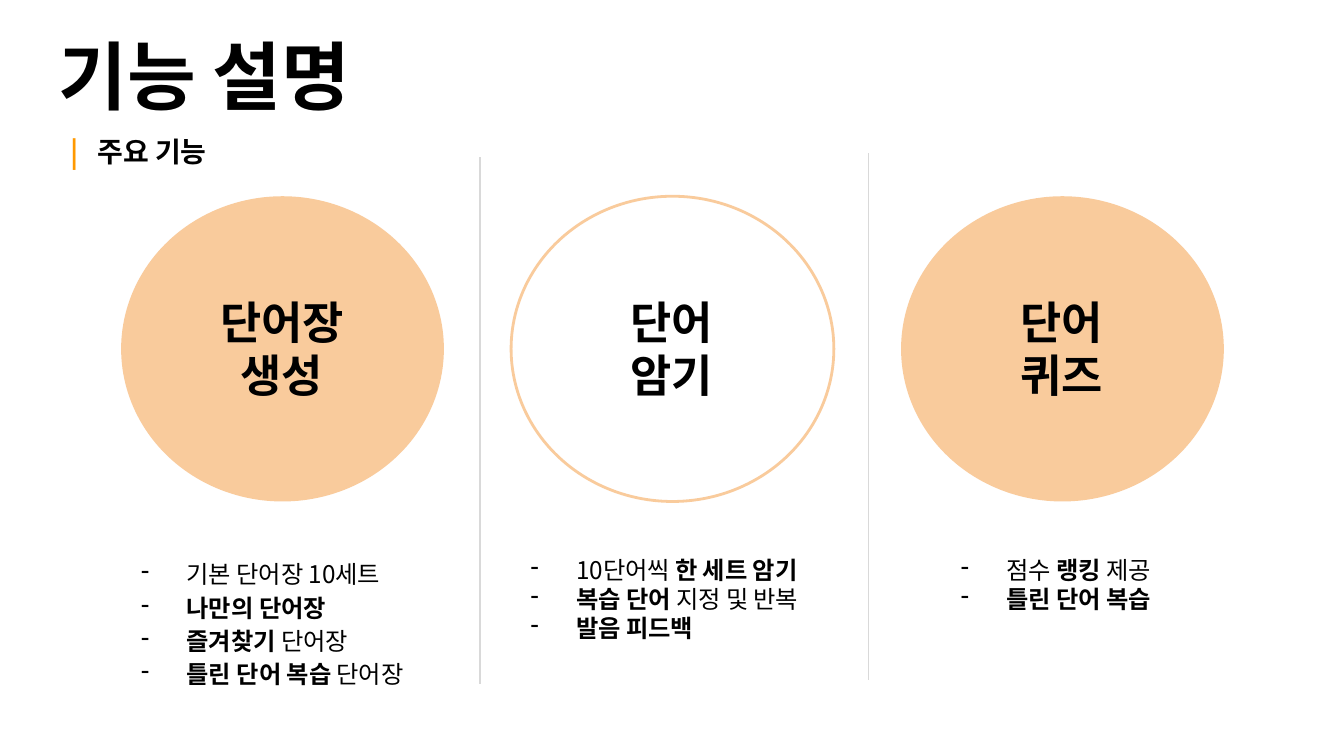
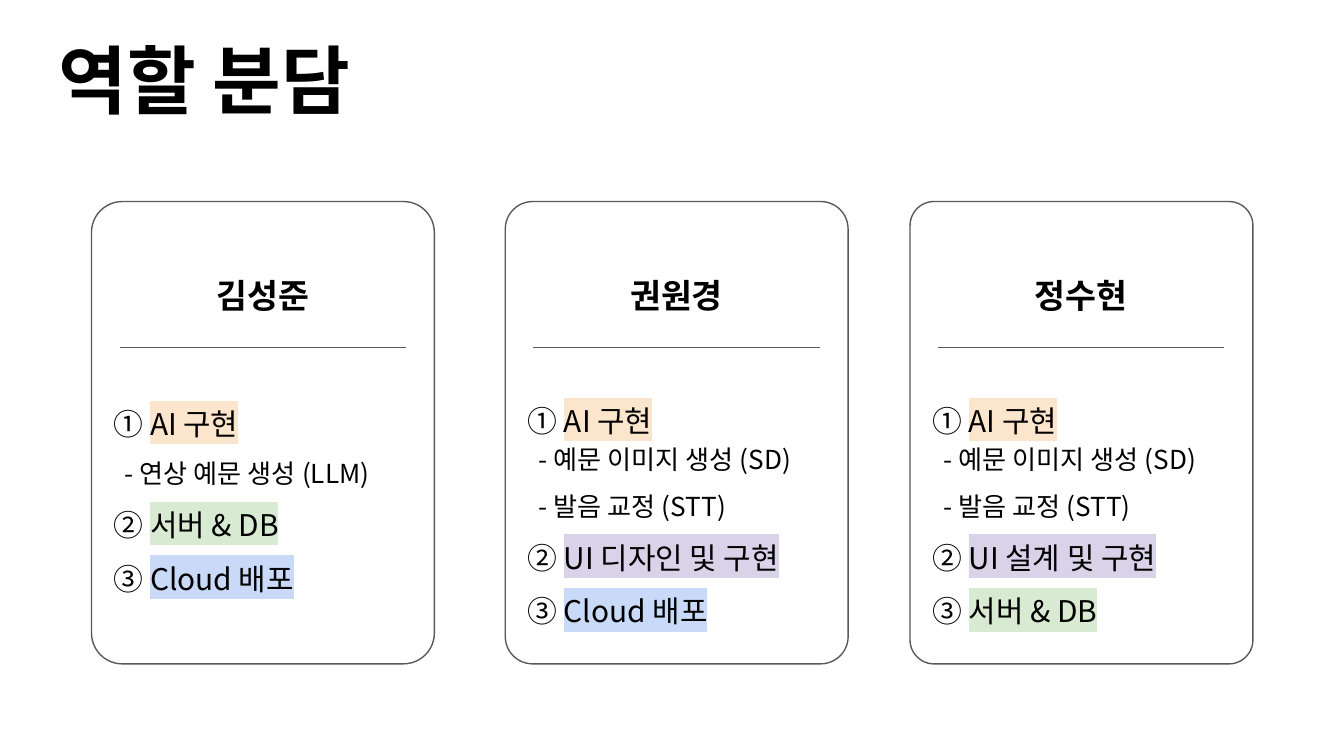
from lxml.etree import SubElement
from pptx import Presentation
from pptx.dml.color import RGBColor
from pptx.enum.shapes import MSO_CONNECTOR as Connector, MSO_SHAPE as Preset
from pptx.enum.text import MSO_ANCHOR as Anchor, MSO_AUTO_SIZE as AutoSize, PP_ALIGN as Align
from pptx.oxml.ns import qn
from pptx.util import Cm, Pt

FONT = "Noto Sans CJK KR"
COLORS = {
    "text": "000000", "accent": "FF9900", "circle": "F9CB9C",
    "divider": "D9D9D9", "outline": "595959",
    "ai": "FCE5CD", "server": "D9EAD3", "deploy": "C9DAF8", "ui": "D9D2E9",
}
RGB = {name: RGBColor.from_string(value) for name, value in COLORS.items()}


def write_text(frame, lines, size, bold=None, align=Align.LEFT, anchor=Anchor.MIDDLE,
               spacing=1.0, bullet=None):
    """Each line is a list of (text, mark); a mark is None, "bold" or a highlight colour."""
    frame.word_wrap = True
    frame.auto_size = AutoSize.NONE
    frame.vertical_anchor = anchor
    frame.margin_left = frame.margin_right = frame.margin_top = frame.margin_bottom = Cm(0.25)
    for index, line in enumerate(lines):
        paragraph = frame.paragraphs[0] if index == 0 else frame.add_paragraph()
        properties = paragraph._p.get_or_add_pPr()
        if bullet:
            properties.set("marL", str(Cm(1.27)))
            properties.set("indent", str(Cm(-0.86)))
            bullet_color = SubElement(properties, qn("a:buClr"))
            SubElement(bullet_color, qn("a:srgbClr")).set("val", COLORS["text"])
            SubElement(properties, qn("a:buChar")).set("char", bullet)
        paragraph.alignment = align
        paragraph.line_spacing = spacing
        paragraph.font.size = Pt(size)
        paragraph.font.bold = bold
        paragraph.font.color.rgb = RGB["text"]
        paragraph.font.name = FONT
        east_asian = SubElement(properties.find(qn("a:defRPr")), qn("a:ea"))
        east_asian.set("typeface", FONT)
        for text, mark in line:
            run = paragraph.add_run()
            run.text = text
            if mark == "bold":
                run.font.bold = True
            elif mark:
                highlight = SubElement(run._r.get_or_add_rPr(), qn("a:highlight"))
                SubElement(highlight, qn("a:srgbClr")).set("val", COLORS[mark])


def add_line(slide, x1, y1, x2, y2, color):
    line = slide.shapes.add_connector(Connector.STRAIGHT, Cm(x1), Cm(y1), Cm(x2), Cm(y2))
    line.line.color.rgb = RGB[color]
    line.line.width = Pt(0.75)
    SubElement(line._element.spPr, qn("a:effectLst"))


presentation = Presentation()
presentation.slide_width = Cm(25.4)
presentation.slide_height = Cm(14.29)

# Slides with their titles
slides = []
for title_text, title_top in (("기능 설명", 0.61), ("역할 분담", 0.69)):
    slide = presentation.slides.add_slide(presentation.slide_layouts[5])
    title = slide.shapes.title
    title.left, title.top, title.width, title.height = Cm(0.86), Cm(title_top), Cm(23.67), Cm(1.6)
    write_text(title.text_frame, [[(title_text, None)]], 40, bold=True)
    slides.append(slide)
feature_slide, role_slide = slides

# Features: subtitle
subtitle = feature_slide.shapes.add_textbox(Cm(1.09), Cm(2.46), Cm(4.19), Cm(0.79))
write_text(subtitle.text_frame, [[("|", None), ("\t주요 기능", None)]], 15, bold=True)
paragraph = subtitle.text_frame.paragraphs[0]
paragraph.runs[0].font.color.rgb = RGB["accent"]
paragraph._p.pPr.set("marL", str(Cm(0.5)))
paragraph._p.pPr.set("indent", str(Cm(-0.5)))

# Features: circle, label and list in each column
# label lines, filled, list left, width, height, line spacing, list lines
features = [
    (["단어장", "생성"], True, 2.01, 6.63, 2.9, 1.15, [
        [("기본 단어장 10세트", None)],
        [("나만의 단어장", "bold")],
        [("즐겨찾기", "bold"), (" 단어장", None)],
        [("틀린 단어 복습", "bold"), (" 단어장", None)]]),
    (["단어 암기"], False, 9.37, 6.63, 2.49, 1.0, [
        [("10단어씩 ", None), ("한 세트 암기", "bold")],
        [("복습 단어", "bold"), (" 지정 및 반복", None)],
        [("발음 피드백", "bold")]]),
    (["단어 퀴즈"], True, 17.5, 5.16, 1.8, 1.0, [
        [("점수 ", None), ("랭킹", "bold"), (" 제공", None)],
        [("틀린 단어 복습", "bold")]]),
]
for column, (label, filled, left, width, height, spacing, lines) in enumerate(features):
    circle_left = 2.29 + 7.37 * column
    circle = feature_slide.shapes.add_shape(
        Preset.OVAL, Cm(circle_left), Cm(3.71), Cm(6.1), Cm(5.77))
    circle.shadow.inherit = False
    if filled:
        circle.fill.solid()
        circle.fill.fore_color.rgb = RGB["circle"]
        circle.line.fill.background()
    else:
        circle.fill.background()
        circle.line.color.rgb = RGB["circle"]
        circle.line.width = Pt(1.5)
    label_box = feature_slide.shapes.add_textbox(
        Cm(circle_left + 1.3), Cm(5.41), Cm(3.48), Cm(2.34))
    write_text(label_box.text_frame, [[(text, None)] for text in label], 24,
               bold=True, align=Align.CENTER)
    list_box = feature_slide.shapes.add_textbox(Cm(left), Cm(10.24), Cm(width), Cm(height))
    write_text(list_box.text_frame, lines, 13, anchor=Anchor.TOP, spacing=spacing, bullet="-")

# Features: column dividers
for x, top in ((9.07, 2.97), (16.41, 2.9)):
    add_line(feature_slide, x, top, x, top + 9.96, "divider")

# Roles: one card per member
ai_task = [("① ", None), ("AI 구현", "ai")]
speech_tasks = [[("- 예문 이미지 생성 (SD)", None)], [("- 발음 교정 (STT)", None)]]
# name, card left, corner, tasks top, tasks height, tasks
members = [
    ("김성준", 1.73, 0.09, 7.32, 3.91, [
        ai_task, [("- 연상 예문 생성 (LLM)", None)],
        [("② ", None), ("서버 & DB", "server")],
        [("③ ", None), ("Cloud 배포", "deploy")]]),
    ("권원경", 9.55, 0.08, 7.26, 4.6, [
        ai_task, *speech_tasks,
        [("② ", None), ("UI 디자인 및 구현", "ui")],
        [("③ ", None), ("Cloud 배포", "deploy")]]),
    ("정수현", 17.2, 0.07, 7.26, 4.6, [
        ai_task, *speech_tasks,
        [("② ", None), ("UI 설계 및 구현", "ui")],
        [("③ ", None), ("서버 & DB", "server")]]),
]
for name, left, corner, tasks_top, tasks_height, tasks in members:
    card = role_slide.shapes.add_shape(
        Preset.ROUNDED_RECTANGLE, Cm(left), Cm(3.81), Cm(6.48), Cm(8.74))
    card.adjustments[0] = corner
    card.shadow.inherit = False
    card.fill.background()
    card.line.color.rgb = RGB["outline"]
    card.line.width = Pt(0.75)
    name_box = role_slide.shapes.add_textbox(Cm(left + 1.19), Cm(4.95), Cm(4.09), Cm(1.27))
    write_text(name_box.text_frame, [[(name, None)]], 18, bold=True,
               align=Align.CENTER, anchor=Anchor.TOP)
    add_line(role_slide, left + 0.53, 6.57, left + 5.94, 6.57, "outline")
    task_box = role_slide.shapes.add_textbox(
        Cm(left + 0.17), Cm(tasks_top), Cm(6.15), Cm(tasks_height))
    write_text(task_box.text_frame, tasks, 16, anchor=Anchor.TOP, spacing=1.5)

    # Tight first lines, smaller indented details
    paragraphs = task_box.text_frame.paragraphs
    paragraphs[0].line_spacing = 1.15
    if len(tasks) == 5:
        paragraphs[1].line_spacing = 1.15
    for paragraph in paragraphs:
        if paragraph.text.startswith("-"):
            paragraph.font.size = Pt(14)
            paragraph._p.pPr.set("marL", str(Cm(0.21)))

presentation.save("out.pptx")
